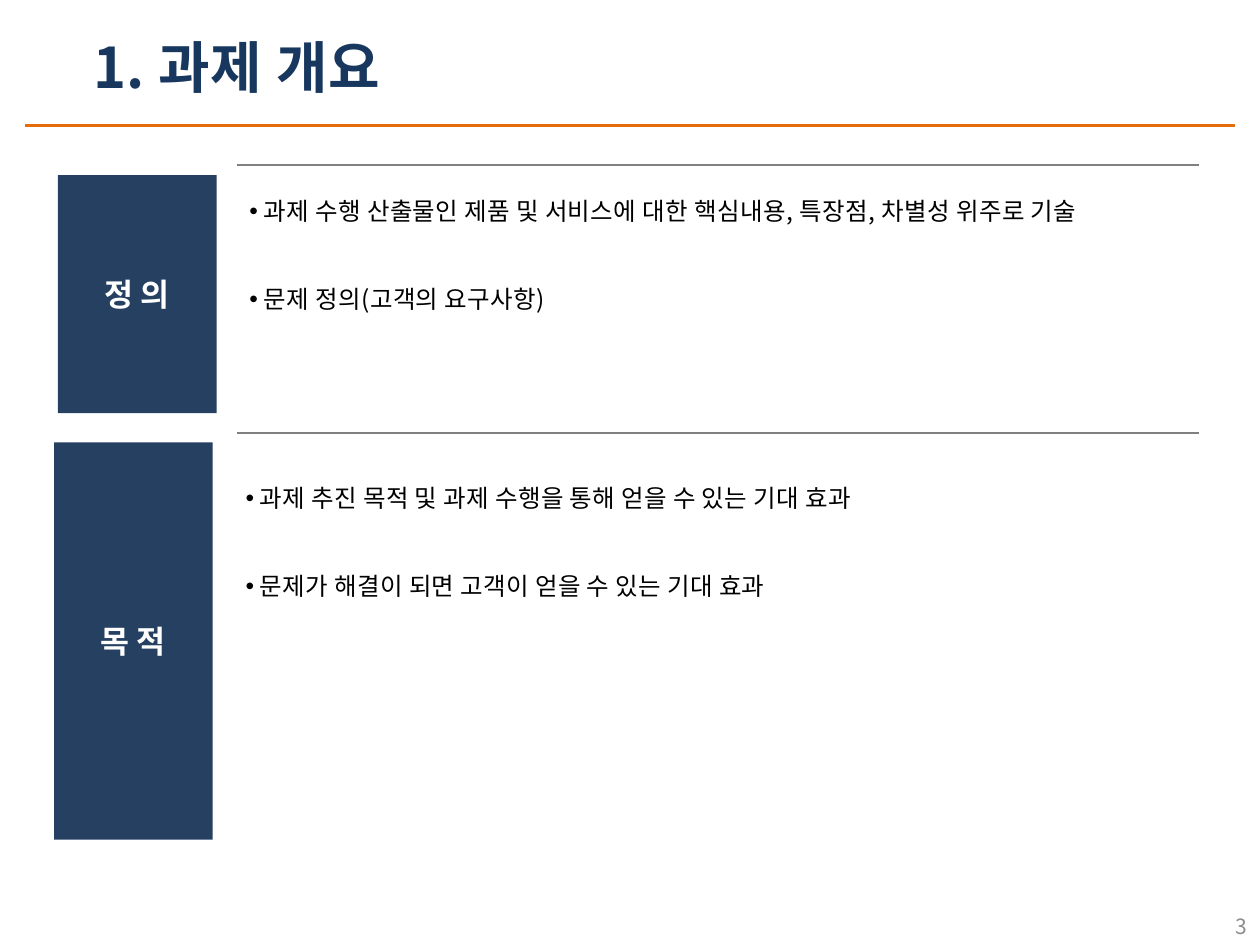
from lxml import etree
from pptx import Presentation
from pptx.dml.color import RGBColor
from pptx.enum.shapes import MSO_CONNECTOR, MSO_SHAPE
from pptx.enum.text import MSO_ANCHOR, PP_ALIGN
from pptx.oxml.ns import qn
from pptx.util import Cm, Pt

STRAIGHT, RECTANGLE = MSO_CONNECTOR.STRAIGHT, MSO_SHAPE.RECTANGLE
TOP, MIDDLE = MSO_ANCHOR.TOP, MSO_ANCHOR.MIDDLE
LEFT, CENTER, RIGHT = PP_ALIGN.LEFT, PP_ALIGN.CENTER, PP_ALIGN.RIGHT

FONT = "Noto Sans CJK KR"
COLORS = {"title": "17375E", "accent": "E46C0A", "label": "254061",
          "rule": "808080", "body": "000000", "white": "FFFFFF", "number": "8C8C8C"}

TITLE = "1. 과제 개요"
PAGE_NUMBER = "3"
# Lengths in centimetres
SECTIONS = [
    {"label": "정 의", "left": 1.17, "top": 3.53, "height": 4.8,
     "rule": 3.33, "text_top": 3.53,
     "bullets": ["과제 수행 산출물인 제품 및 서비스에 대한 핵심내용, 특장점, 차별성 위주로 기술",
                 "문제 정의(고객의 요구사항)"]},
    {"label": "목 적", "left": 1.09, "top": 8.92, "height": 8.01,
     "rule": 8.73, "text_top": 9.32,
     "bullets": ["과제 추진 목적 및 과제 수행을 통해 얻을 수 있는 기대 효과",
                 "문제가 해결이 되면 고객이 얻을 수 있는 기대 효과"]},
]
LABEL_WIDTH = 3.2
TEXT_OFFSET = 3.61
TEXT_SIZE = (20.1, 2.84)
RULE_SPAN = (4.78, 24.18)


def add_rule(slide, start, end, y, color, width):
    """Draw a horizontal line."""
    line = slide.shapes.add_connector(STRAIGHT, Cm(start), Cm(y), Cm(end), Cm(y))
    line.line.color.rgb = RGBColor.from_string(COLORS[color])
    line.line.width = Pt(width)
    etree.SubElement(line._element.spPr, qn("a:effectLst"))


def add_run(paragraph, text, size, color, bold=False, tracking=0):
    """Add one styled run; tracking is in hundredths of a point."""
    run = paragraph.add_run()
    run.text = text
    run.font.name = FONT
    run.font.size = Pt(size)
    run.font.bold = bold
    run.font.color.rgb = RGBColor.from_string(COLORS[color])
    properties = run._r.rPr
    properties.find(qn("a:latin")).addnext(etree.Element(qn("a:ea"), typeface=FONT))
    if tracking:
        properties.set("spc", str(tracking))


def write_line(shape, text, size, color, align=LEFT, anchor=TOP, bold=False, tracking=0):
    """Write a single paragraph into a shape."""
    shape.text_frame.vertical_anchor = anchor
    paragraph = shape.text_frame.paragraphs[0]
    paragraph.alignment = align
    add_run(paragraph, text, size, color, bold, tracking)


def add_text_box(slide, left, top, width, height, wrap=True):
    """Add an empty text box."""
    box = slide.shapes.add_textbox(Cm(left), Cm(top), Cm(width), Cm(height))
    box.text_frame.word_wrap = wrap
    return box


def add_bullets(slide, left, top, bullets):
    """Add a text box of widely spaced bullet lines."""
    frame = add_text_box(slide, left, top, *TEXT_SIZE).text_frame
    for index, text in enumerate(bullets):
        paragraph = frame.add_paragraph() if index else frame.paragraphs[0]
        paragraph.line_spacing = 1.5
        paragraph.space_before = Pt(25 if index else 0)
        properties = paragraph._p.get_or_add_pPr()
        etree.SubElement(properties, qn("a:buFont"), typeface="Arial")
        etree.SubElement(properties, qn("a:buChar"), char="•")
        add_run(paragraph, " " + text, 14, "body", tracking=20)


def add_section(slide, section):
    """Add a label block with its rule and bullets."""
    label = slide.shapes.add_shape(RECTANGLE, Cm(section["left"]), Cm(section["top"]),
                                   Cm(LABEL_WIDTH), Cm(section["height"]))
    label.shadow.inherit = False
    label.fill.solid()
    label.fill.fore_color.rgb = RGBColor.from_string(COLORS["label"])
    label.line.fill.background()
    write_line(label, section["label"], 18, "white", CENTER, MIDDLE, True)
    add_rule(slide, *RULE_SPAN, section["rule"], "rule", 1)
    add_bullets(slide, section["left"] + TEXT_OFFSET, section["text_top"], section["bullets"])


presentation = Presentation()
presentation.slide_width, presentation.slide_height = Cm(25.4), Cm(19.05)
slide = presentation.slides.add_slide(presentation.slide_layouts[6])

add_rule(slide, 0.5, 24.9, 2.53, "accent", 1.5)
title = add_text_box(slide, 1.63, 0.53, 6.83, 1.63, wrap=False)
write_line(title, TITLE, 32, "title", bold=True, tracking=30)
for section in SECTIONS:
    add_section(slide, section)
number = add_text_box(slide, 19.48, 18.33, 5.92, 0.69)
write_line(number, PAGE_NUMBER, 12, "number", RIGHT, MIDDLE)

presentation.save("out.pptx")
